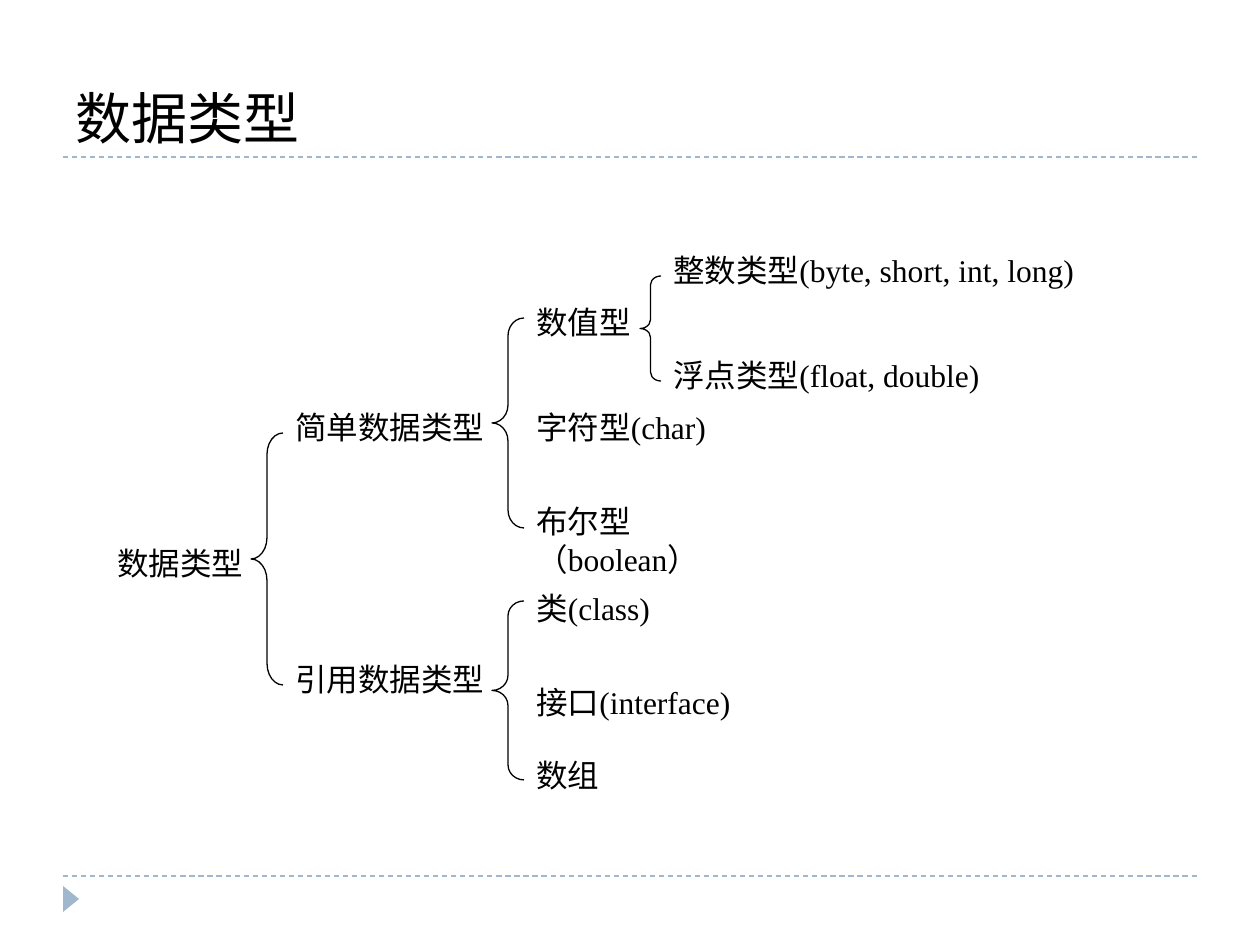
"""Build a slide that shows the tree of data types with braces."""
from lxml.etree import SubElement
from pptx import Presentation
from pptx.dml.color import RGBColor
from pptx.enum.dml import MSO_LINE
from pptx.enum.shapes import MSO_CONNECTOR, MSO_SHAPE
from pptx.enum.text import MSO_ANCHOR
from pptx.oxml.ns import qn
from pptx.util import Emu, Pt

BLACK = RGBColor(0x00, 0x00, 0x00)
BLUE = RGBColor(0x9F, 0xB8, 0xCD)


def px(*values):
    return [Emu(v * 914400 // 126) for v in values]


def add_text(s, text, box, size, font, anchor):
    tf = s.shapes.add_textbox(*px(*box)).text_frame
    tf.word_wrap = True
    tf.vertical_anchor = anchor
    tf.text = text
    r = tf.paragraphs[0].runs[0]
    r.font.size = Pt(size)
    r.font.name = font
    r.font.color.rgb = BLACK


prs = Presentation()
prs.slide_width, prs.slide_height = px(1260, 945)
s = prs.slides.add_slide(prs.slide_layouts[6])

for y in (876, 157):
    rule = s.shapes.add_connector(MSO_CONNECTOR.STRAIGHT, *px(63, y, 1197, y))
    rule.line.color.rgb = BLUE
    rule.line.width = Pt(0.75)
    rule.line.dash_style = MSO_LINE.DASH
    SubElement(rule._element.spPr, qn("a:effectLst"))

marker = s.shapes.add_shape(MSO_SHAPE.ISOSCELES_TRIANGLE, *px(58, 891, 26, 16))
marker.rotation = 90
marker.shadow.inherit = False
marker.fill.solid()
marker.fill.fore_color.rgb = BLUE
marker.line.fill.background()

add_text(s, "数据类型", (63, 21, 1134, 136), 32, "Arial", MSO_ANCHOR.BOTTOM)

labels = [
    ("数据类型", 105, 538, 220, 50),
    ("简单数据类型", 283, 402, 220, 50),
    ("引用数据类型", 283, 654, 220, 50),
    ("数值型", 524, 297, 126, 50),
    ("字符型(char)", 524, 402, 252, 50),
    ("布尔型（boolean）", 524, 496, 252, 88),
    ("整数类型(byte, short, int, long)", 661, 245, 451, 50),
    ("浮点类型(float, double)", 661, 350, 451, 50),
    ("类(class)", 524, 583, 210, 50),
    ("接口(interface)", 524, 677, 252, 50),
    ("数组", 524, 750, 252, 50),
]
for text, *box in labels:
    add_text(s, text, box, 18, "Times New Roman", MSO_ANCHOR.TOP)

braces = [
    (251, 433, 32, 252, 0.67),
    (492, 318, 32, 210, 0.56),
    (640, 276, 21, 105, 0.42),
    (492, 601, 32, 179, 0.47),
]
for *box, curve in braces:
    sp = s.shapes.add_shape(MSO_SHAPE.LEFT_BRACE, *px(*box))
    sp.adjustments[0] = curve
    sp.shadow.inherit = False
    sp.fill.background()
    sp.line.color.rgb = BLACK
    sp.line.width = Pt(0.75)

prs.save("out.pptx")
